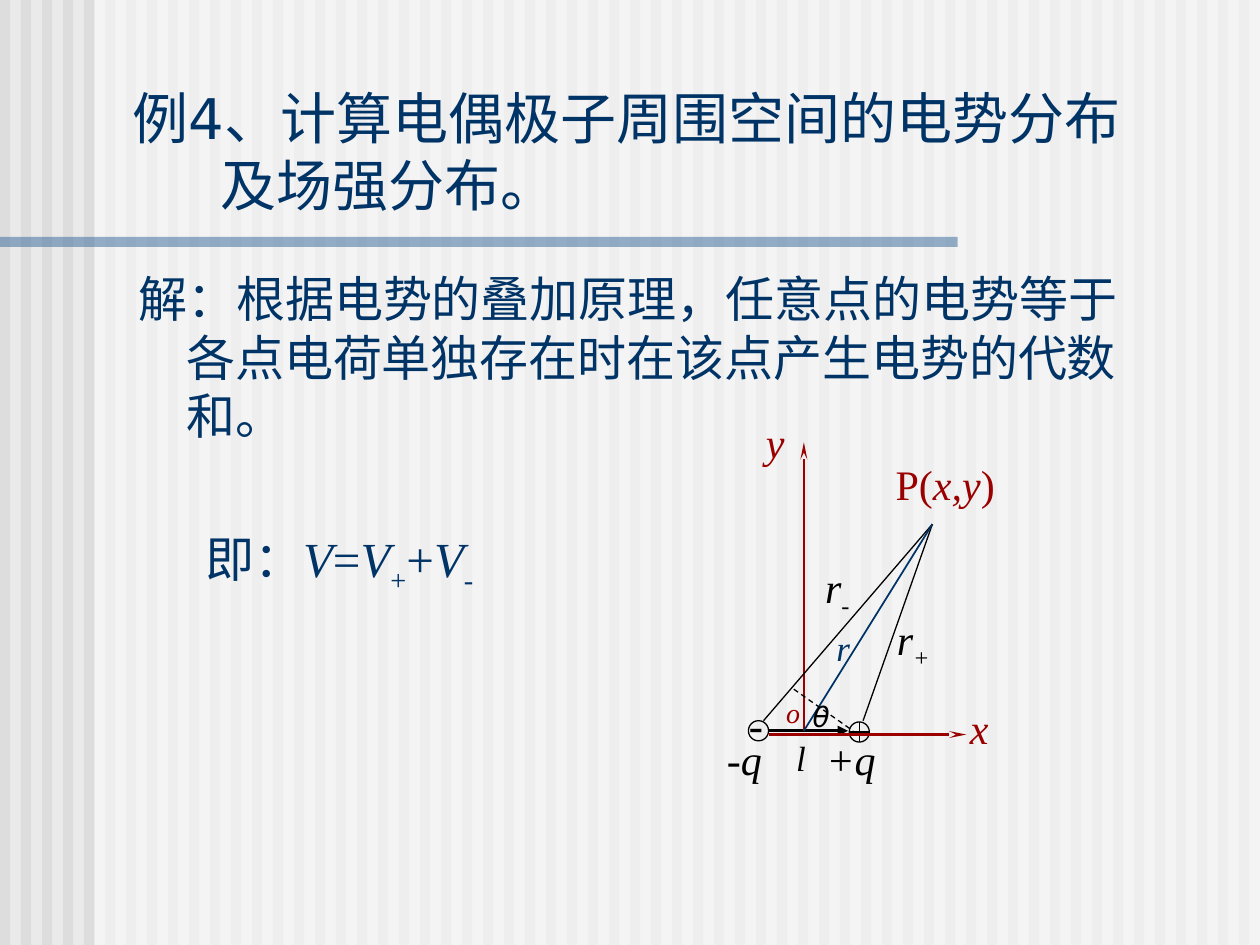
from dataclasses import dataclass

from lxml.etree import SubElement
from pptx import Presentation
from pptx.dml.color import RGBColor
from pptx.enum.dml import MSO_LINE
from pptx.enum.shapes import MSO_CONNECTOR, MSO_SHAPE
from pptx.enum.text import MSO_ANCHOR, MSO_AUTO_SIZE, PP_ALIGN
from pptx.oxml.ns import qn
from pptx.util import Inches, Pt


@dataclass(frozen=True)
class Theme:
    background: str = "EAEAEA"
    stripe: str = "DDDDDD"
    veil: str = "FFFFFF"
    bar: str = "336699"
    text: str = "003366"
    axis: str = "9A0000"
    ink: str = "000000"
    sans: str = "DejaVu Sans"
    serif: str = "Times New Roman"
    title: int = 32
    body: int = 28
    label: int = 24
    small: int = 20
    tiny: int = 16


T = Theme()


def rgb(value):
    return RGBColor.from_string(value)


def add_text(p, text, size=T.label, font=T.serif, color=T.ink, italic=False, sub=False):
    for i, line in enumerate(text.split("\n")):
        if i:
            p.add_line_break()
        r = p.add_run()
        r.text = line
        r.font.size = Pt(size)
        r.font.name = font
        r.font.color.rgb = rgb(color)
        r.font.italic = italic
        if sub:
            r.font._element.set("baseline", "-25000")


def set_indent(p, left, first=0):
    pPr = p._p.get_or_add_pPr()
    pPr.set("marL", str(Inches(left)))
    pPr.set("indent", str(Inches(first)))


def add_block(shapes, left, top, width, height, color, alpha=None):
    sp = shapes.add_shape(MSO_SHAPE.RECTANGLE, Inches(left), Inches(top), Inches(width), Inches(height))
    sp.shadow.inherit = False
    sp.fill.solid()
    sp.fill.fore_color.rgb = rgb(color)
    sp.line.fill.background()
    if alpha:
        clr = sp._element.spPr.find(qn("a:solidFill"))[0]
        SubElement(clr, qn("a:alpha")).set("val", str(alpha * 1000))


def add_charge(shapes, kind, left, top):
    sp = shapes.add_shape(kind, Inches(left), Inches(top), Inches(0.16), Inches(0.16))
    sp.shadow.inherit = False
    sp.fill.background()
    sp.line.color.rgb = rgb(T.ink)
    sp.line.width = Pt(0.75)


def add_line(shapes, start, end, color=T.ink, width=0.75, arrow=None, dash=None):
    points = [Inches(v) for v in (*start, *end)]
    c = shapes.add_connector(MSO_CONNECTOR.STRAIGHT, *points)
    c.line.color.rgb = rgb(color)
    c.line.width = Pt(width)
    if dash:
        c.line.dash_style = dash
    if arrow:
        tail = SubElement(c.line._get_or_add_ln(), qn("a:tailEnd"))
        tail.set("type", arrow)
        if arrow == "stealth":
            tail.set("w", "sm")
            tail.set("len", "lg")
    SubElement(c._element.spPr, qn("a:effectLst"))


def add_label(shapes, left, top, width, height, *runs, **fmt):
    sp = shapes.add_textbox(Inches(left), Inches(top), Inches(width), Inches(height))
    tf = sp.text_frame
    tf.word_wrap = False
    tf.auto_size = MSO_AUTO_SIZE.NONE
    tf.margin_right = 0
    p = tf.paragraphs[0]
    p.alignment = PP_ALIGN.LEFT
    for text, extra in runs:
        add_text(p, text, **{**fmt, **extra})


def add_backdrop(s):
    s.background.fill.solid()
    s.background.fill.fore_color.rgb = rgb(T.background)
    shapes = s.shapes.add_group_shape().shapes
    for i in range(60):
        add_block(shapes, i / 6, 0, 0.08, 7.5, T.stripe)
    add_block(shapes, 0.75, 0, 9.25, 7.5, T.veil, alpha=50)
    add_block(shapes, 0, 1.88, 7.6, 0.08, T.bar, alpha=50)


def add_title(s, text):
    sp = s.shapes.title
    sp.left, sp.top, sp.width, sp.height = (Inches(v) for v in (0.95, 0.61, 8.93, 1.17))
    tf = sp.text_frame
    tf.word_wrap = True
    tf.auto_size = MSO_AUTO_SIZE.NONE
    tf.vertical_anchor = MSO_ANCHOR.BOTTOM
    p = tf.paragraphs[0]
    p.alignment = PP_ALIGN.LEFT
    set_indent(p, 0.7, -0.7)
    add_text(p, text, size=T.title, font=T.sans, color=T.text)
    sp.element.getparent().append(sp.element)


def add_solution(s):
    tf = s.shapes.add_textbox(Inches(1), Inches(2.08), Inches(8.25), Inches(5.05)).text_frame
    tf.word_wrap = True
    p = tf.paragraphs[0]
    set_indent(p, 0.38, -0.38)
    fmt = dict(size=T.body, color=T.text)
    add_text(p, "解：根据电势的叠加原理，任意点的电势等于各点电荷单独存在时在该点产生电势的代数和。",
             font=T.sans, **fmt)
    p = tf.add_paragraph()
    p.space_before = Pt(48)
    set_indent(p, 0.53)
    add_text(p, "即：", font=T.sans, **fmt)
    for text in ("V", "=", "V", "+", "+", "V", "-"):
        sub = p.runs[-1].text == "V" and text in "+-"
        add_text(p, text, italic=text == "V", sub=sub, **fmt)


def add_dipole(s):
    shapes = s.shapes.add_group_shape().shapes
    origin, point = (6.38, 5.8), (7.4, 4.16)
    add_label(shapes, 5.84, 5.51, 0.38, 0.5, ("-", {}), font=T.sans)
    add_charge(shapes, MSO_SHAPE.OVAL, 5.94, 5.72)
    add_charge(shapes, MSO_SHAPE.FLOWCHART_OR, 6.74, 5.73)
    add_line(shapes, (6.1, 5.8), (6.73, 5.8), width=1.5, arrow="triangle")
    for start, end in (((6.1, 5.83), (7.67, 5.83)), (origin, (6.38, 3.51))):
        add_line(shapes, start, end, T.axis, 1.5, "stealth")
    add_line(shapes, point, (6.85, 5.72))
    add_line(shapes, (6.06, 5.72), point)
    add_line(shapes, origin, point, T.text, 1)
    add_line(shapes, (6.3, 5.47), (6.77, 5.8), dash=MSO_LINE.DASH)

    for text, left, top, width, height, size, color, font in (
        ("x", 7.6, 5.53, 0.33, 0.5, T.label, T.axis, T.serif),
        ("y", 5.98, 3.26, 0.35, 0.5, T.label, T.axis, T.serif),
        ("o", 6.14, 5.47, 0.31, 0.37, T.tiny, T.axis, T.serif),
        ("-q", 5.67, 5.77, 0.48, 0.5, T.label, T.ink, T.serif),
        ("+q", 6.46, 5.77, 0.59, 0.5, T.label, T.ink, T.serif),
        ("θ", 6.35, 5.5, 0.32, 0.37, T.tiny, T.ink, T.sans),
        ("l", 6.22, 5.8, 0.27, 0.44, T.small, T.ink, T.serif),
        ("r", 6.54, 4.92, 0.31, 0.44, T.small, T.text, T.serif),
    ):
        add_label(shapes, left, top, width, height, (text, {}),
                  size=size, color=color, font=font, italic=True)
    for sign, left, top, width in (("-", 6.45, 4.41, 0.39), ("+", 7.02, 4.82, 0.46)):
        add_label(shapes, left, top, width, 0.56, ("r", {}), (sign, {"sub": True}), italic=True)
    add_label(shapes, 7.01, 3.59, 0.98, 0.5,
              ("P(", {}), ("x,y", {"italic": True}), (")", {}), color=T.axis)


def main():
    prs = Presentation()
    prs.slide_width, prs.slide_height = Inches(10), Inches(7.5)
    s = prs.slides.add_slide(prs.slide_layouts[5])
    add_backdrop(s)
    add_title(s, "例4、计算电偶极子周围空间的电势分布\n及场强分布。")
    add_solution(s)
    add_dipole(s)
    prs.save("out.pptx")


if __name__ == "__main__":
    main()
